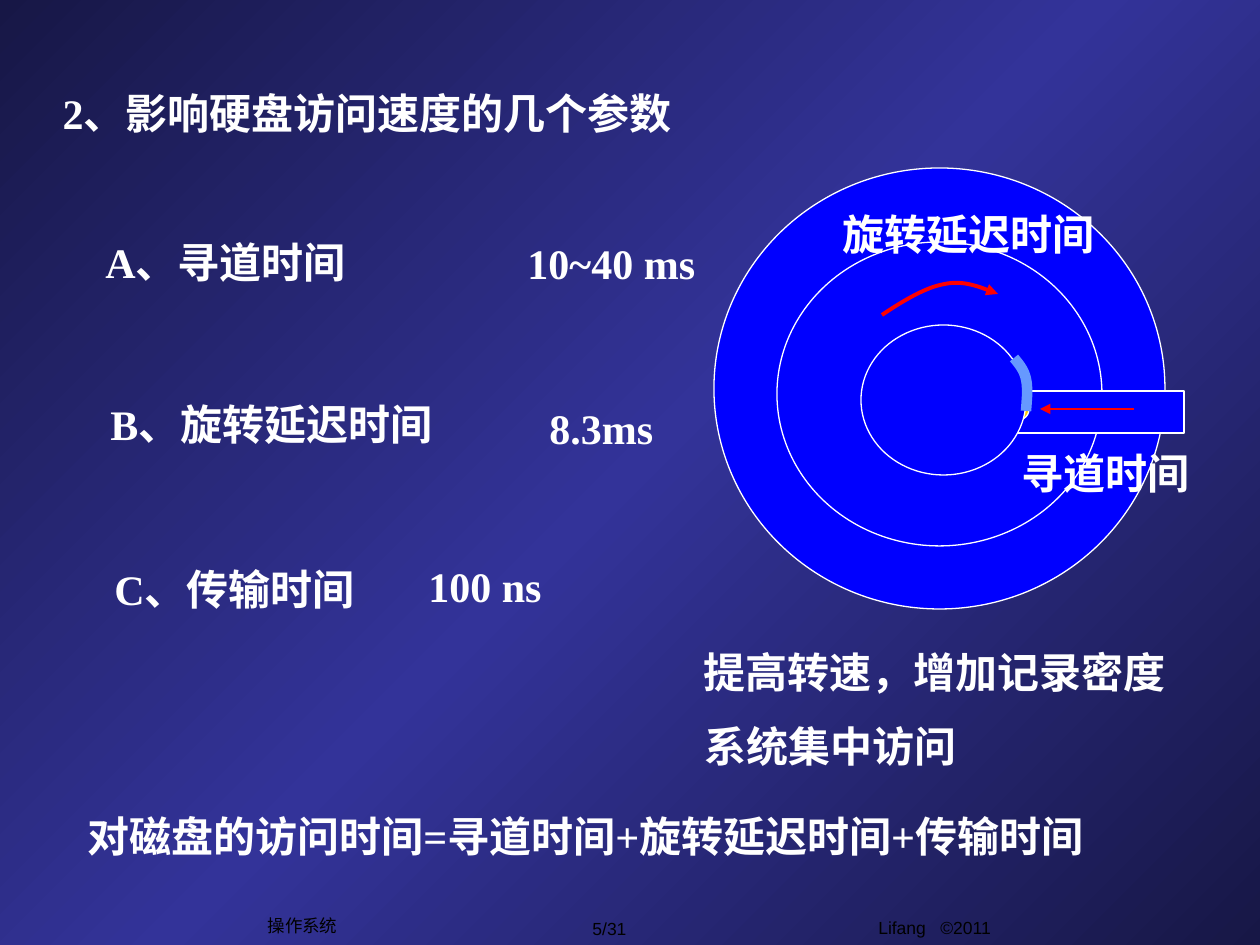
from copy import deepcopy

from pptx import Presentation
from pptx.dml.color import RGBColor
from pptx.enum.shapes import MSO_CONNECTOR, MSO_SHAPE
from pptx.enum.text import MSO_ANCHOR, MSO_AUTO_SIZE, PP_ALIGN
from pptx.oxml.ns import qn
from pptx.util import Pt
from lxml.etree import SubElement

EMU_PER_PX = 914400 / 126
WHITE, BLACK = "FFFFFF", "000000"
BLUE, RED, SKY, GOLD = "0000FF", "FF0000", "6699FF", "FFCC00"
NIGHT, INDIGO = "171746", "333399"
CURVE_STEPS = 16

# text, left, top, width, wrap
BODY_TEXTS = [
    ("A、寻道时间", 93, 230, 278, False),
    ("10~40 ms", 515, 231, 193, False),
    ("B、旋转延迟时间", 98, 392, 359, False),
    ("8.3ms", 537, 396, 130, True),
    ("C、传输时间", 102, 557, 278, False),
    ("100 ns", 416, 554, 139, True),
    ("旋转延迟时间", 830, 202, 277, False),
    ("寻道时间", 1009, 441, 193, False),
    ("提高转速，增加记录密度", 691, 640, 492, False),
    ("系统集中访问", 692, 714, 277, False),
    ("对磁盘的访问时间=寻道时间+旋转延迟时间+传输时间", 75, 804, 1081, False),
]


def px(length):
    return round(length * EMU_PER_PX)


def rgb(color):
    return RGBColor.from_string(color)


def set_background(slide):
    """Diagonal gradient: dark corners, lighter middle."""
    fill = slide.background.fill
    fill.gradient()
    fill.gradient_angle = 135
    stop_list = slide.element.find(".//" + qn("a:gsLst"))
    stop_list.append(deepcopy(stop_list[-1]))
    for stop, position, color in zip(fill.gradient_stops, (0, 0.5, 1), (NIGHT, INDIGO, NIGHT)):
        stop.position = position
        stop.color.rgb = rgb(color)


def format_text(frame, text, align=PP_ALIGN.LEFT, font="Times New Roman",
                size=24, color=WHITE, bold=True):
    frame.text = text
    paragraph = frame.paragraphs[0]
    paragraph.alignment = align
    paragraph.font.name = font
    paragraph.font.size = Pt(size)
    paragraph.font.bold = bold
    paragraph.font.color.rgb = rgb(color)


def add_title(slide, text, left, top, width, height):
    title = slide.shapes.title
    title.left, title.top, title.width, title.height = map(px, (left, top, width, height))
    title.text_frame.vertical_anchor = MSO_ANCHOR.MIDDLE
    title.text_frame.auto_size = MSO_AUTO_SIZE.NONE
    format_text(title.text_frame, text)


def add_body_text(slide, text, left, top, width, wrap):
    frame = slide.shapes.add_textbox(px(left), px(top), px(width), px(63)).text_frame
    frame.word_wrap = wrap
    frame.auto_size = MSO_AUTO_SIZE.SHAPE_TO_FIT_TEXT
    format_text(frame, text)


def add_footer(slide, text, left, top, width, height, anchor):
    frame = slide.shapes.add_textbox(*map(px, (left, top, width, height))).text_frame
    frame.word_wrap = True
    frame.vertical_anchor = anchor
    format_text(frame, text, PP_ALIGN.CENTER, "Arial", 10, BLACK, False)


def add_part(slide, preset, left, top, width, height, color=BLUE):
    part = slide.shapes.add_shape(preset, *map(px, (left, top, width, height)))
    part.shadow.inherit = False
    part.fill.solid()
    part.fill.fore_color.rgb = rgb(color)
    style_line(part.line, WHITE, 0.75)


def style_line(line, color, width, arrow=False):
    line.color.rgb = rgb(color)
    line.width = Pt(width)
    if arrow:
        SubElement(line._get_or_add_ln(), qn("a:tailEnd"), type="triangle")


def bezier_points(p0, p1, p2, p3):
    for step in range(1, CURVE_STEPS + 1):
        t = step / CURVE_STEPS
        u = 1 - t
        yield tuple(px(u**3 * a + 3 * u * u * t * b + 3 * u * t * t * c + t**3 * d)
                    for a, b, c, d in zip(p0, p1, p2, p3))


def add_curve(slide, points, color, width, arrow=False):
    """Open curve through cubic Bezier segments that share end points."""
    builder = slide.shapes.build_freeform(*map(px, points[0]))
    for start in range(0, len(points) - 1, 3):
        builder.add_line_segments(list(bezier_points(*points[start:start + 4])), close=False)
    curve = builder.convert_to_shape()
    curve.shadow.inherit = False
    curve.fill.background()
    style_line(curve.line, color, width, arrow)


def add_arrow(slide, x1, y1, x2, y2):
    arrow = slide.shapes.add_connector(MSO_CONNECTOR.STRAIGHT, *map(px, (x1, y1, x2, y2)))
    style_line(arrow.line, RED, 0.75, arrow=True)
    SubElement(arrow._element.spPr, qn("a:effectLst"))


def add_disk(slide):
    add_part(slide, MSO_SHAPE.OVAL, 714, 168, 451, 441)
    add_part(slide, MSO_SHAPE.OVAL, 777, 242, 325, 304)
    add_part(slide, MSO_SHAPE.RECTANGLE, 911, 391, 273, 42)
    add_arrow(slide, 1134, 409, 1040, 409)
    add_part(slide, MSO_SHAPE.OVAL, 1008, 399, 21, 21, GOLD)
    rotation = [(882, 315), (903, 301), (926, 287), (945, 284),
                (964, 280), (980, 287), (998, 294)]
    add_curve(slide, rotation, RED, 2.25, arrow=True)
    add_part(slide, MSO_SHAPE.OVAL, 861, 325, 165, 150)
    head = [(1014, 358), (1019, 364), (1024, 370), (1026, 379),
            (1028, 388), (1027, 399), (1026, 411)]
    add_curve(slide, head, SKY, 6)


def main():
    deck = Presentation()
    deck.slide_width, deck.slide_height = px(1260), px(945)
    slide = deck.slides.add_slide(deck.slide_layouts[5])
    set_background(slide)
    add_title(slide, "2、影响硬盘访问速度的几个参数", 50, 81, 1076, 63)
    add_footer(slide, "操作系统", 255, 908, 95, 34, MSO_ANCHOR.MIDDLE)
    add_footer(slide, "5/31", 545, 911, 129, 34, MSO_ANCHOR.MIDDLE)
    add_footer(slide, "Lifang   ©2011", 735, 911, 399, 44, MSO_ANCHOR.TOP)
    add_disk(slide)
    for body_text in BODY_TEXTS:
        add_body_text(slide, *body_text)
    deck.save("out.pptx")


if __name__ == "__main__":
    main()
